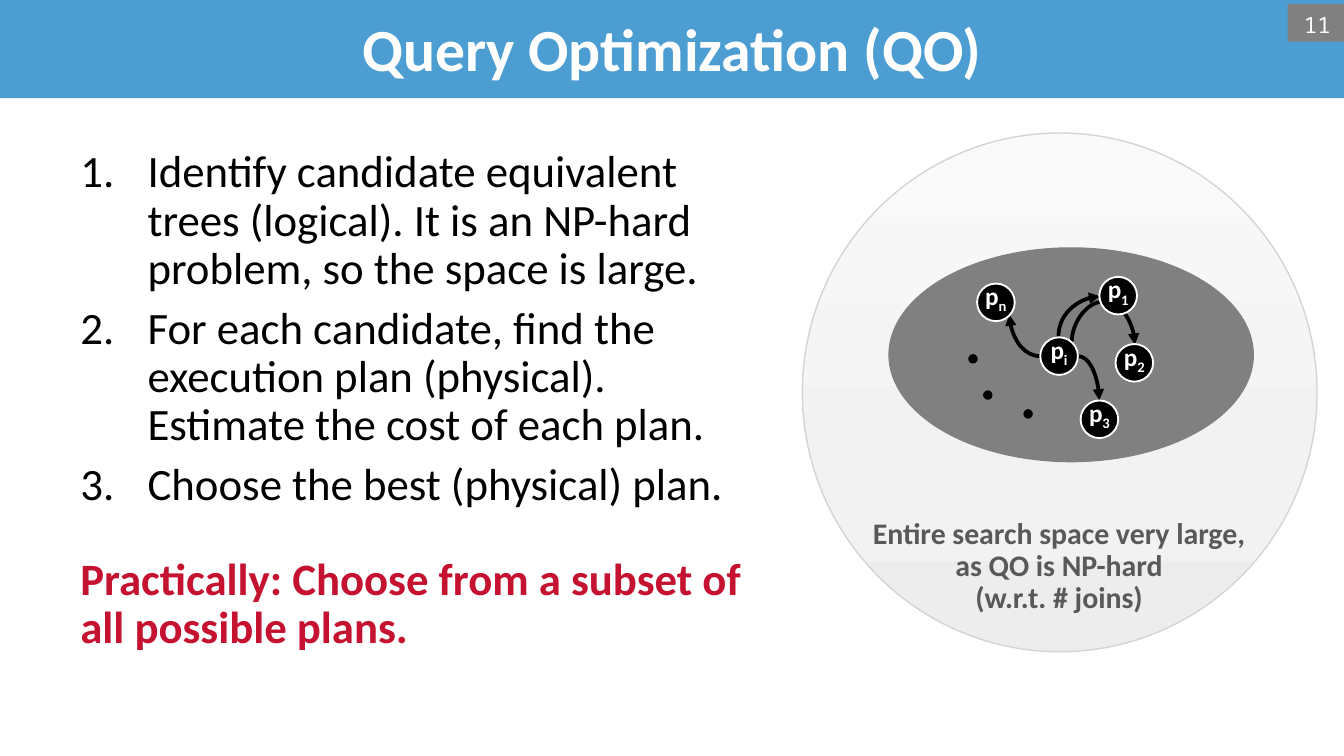
from copy import deepcopy

from lxml.etree import SubElement
from pptx import Presentation
from pptx.dml.color import RGBColor
from pptx.enum.shapes import MSO_CONNECTOR, MSO_SHAPE
from pptx.enum.text import MSO_ANCHOR, MSO_AUTO_SIZE, PP_ALIGN
from pptx.oxml.ns import qn
from pptx.util import Inches, Pt

BLUE = RGBColor(0x4C, 0x9D, 0xD2)
RED = RGBColor(0xC4, 0x12, 0x30)
BLACK = RGBColor(0, 0, 0)
WHITE = RGBColor(0xFF, 0xFF, 0xFF)
GRAY = RGBColor(0x80, 0x80, 0x80)
DARK_GRAY = RGBColor(0x59, 0x59, 0x59)
OUTLINE = RGBColor(0xD4, 0xD4, 0xD4)
SPACE_STOPS = [(0, RGBColor(0xED, 0xED, 0xED)),
               (0.35, RGBColor(0xF2, 0xF2, 0xF2)),
               (1, RGBColor(0xFA, 0xFA, 0xFA))]


def add_filled(kind, box, fill, line=None, width=0.75):
    sp = s.shapes.add_shape(kind, *[Inches(v) for v in box])
    sp.shadow.inherit = False
    if fill is not None:
        sp.fill.solid()
        sp.fill.fore_color.rgb = fill
    if line is None:
        sp.line.fill.background()
    else:
        sp.line.color.rgb = line
        sp.line.width = Pt(width)
    return sp


def format_runs(p, color, **fmt):
    for r in p.runs:
        r.font.color.rgb = color
        for key, value in {"name": "Calibri", **fmt}.items():
            setattr(r.font, key, value)


prs = Presentation()
prs.slide_width = Inches(10)
prs.slide_height = prs.slide_width * 9 // 16
s = prs.slides.add_slide(prs.slide_layouts[5])

# Title bar
title = s.shapes.title
title.left, title.top, title.width, title.height = [
    Inches(v) for v in (0, -0.02, 10, 0.75)]
title.fill.solid()
title.fill.fore_color.rgb = BLUE
tf = title.text_frame
tf.text = "Query Optimization (QO)"
tf.auto_size = MSO_AUTO_SIZE.NONE
tf.vertical_anchor = MSO_ANCHOR.MIDDLE
p = tf.paragraphs[0]
p.alignment = PP_ALIGN.CENTER
format_runs(p, WHITE, size=Pt(32), bold=True)

# Numbered steps and conclusion
steps = [
    "Identify candidate equivalent trees (logical). It is an NP-hard problem, so the space is large.",
    "For each candidate, find the execution plan (physical). Estimate the cost of each plan.",
    "Choose the best (physical) plan.",
]
conclusion = "Practically: Choose from a subset of all possible plans."
tf = s.shapes.add_textbox(Inches(0.5), Inches(1.06), Inches(5.2), Inches(4)).text_frame
tf.word_wrap = True
for i, text in enumerate(steps + [conclusion]):
    p = tf.paragraphs[0] if i == 0 else tf.add_paragraph()
    p.text = text
    p.line_spacing = 0.9
    p.space_before = Pt(0 if i == 0 else 6)
    if text == conclusion:
        p.space_before = Pt(25)
        format_runs(p, RED, size=Pt(24), bold=True)
    else:
        pPr = p._p.get_or_add_pPr()
        pPr.set("marL", str(Inches(0.5)))
        pPr.set("indent", str(Inches(-0.5)))
        SubElement(pPr, qn("a:buFont"), typeface="+mj-lt")
        SubElement(pPr, qn("a:buAutoNum"), type="arabicPeriod")
        format_runs(p, BLACK, size=Pt(24))

# Slide number
number = add_filled(MSO_SHAPE.RECTANGLE, (9.58, 0.03, 0.42, 0.28), GRAY)
tf = number.text_frame
tf.text = "11"
tf.vertical_anchor = MSO_ANCHOR.TOP
p = tf.paragraphs[0]
p.alignment = PP_ALIGN.RIGHT
format_runs(p, WHITE, name="Noto Sans Mono", size=Pt(12))

# Entire search space, its label and the searched subset
space = add_filled(MSO_SHAPE.OVAL, (5.97, 0.99, 3.83, 3.86), None, OUTLINE)
space.fill.gradient()
space.fill.gradient_angle = 90
gs_list = space._element.spPr.find(".//" + qn("a:gsLst"))
gs_list.insert(1, deepcopy(gs_list[0]))
for stop, (position, color) in zip(space.fill.gradient_stops, SPACE_STOPS):
    stop.position = position
    stop.color.rgb = color

tf = s.shapes.add_textbox(Inches(6.37), Inches(3.81), Inches(3.02), Inches(0.83)).text_frame
tf.word_wrap = True
tf.auto_size = MSO_AUTO_SIZE.SHAPE_TO_FIT_TEXT
p = tf.paragraphs[0]
p.text = "Entire search space very large, as QO is NP-hard\v(w.r.t. # joins)"
p.alignment = PP_ALIGN.CENTER
p.line_spacing = 0.9
format_runs(p, DARK_GRAY, size=Pt(16), bold=True)

add_filled(MSO_SHAPE.OVAL, (6.61, 1.84, 2.72, 1.6), GRAY)

# Curved arrows between plans: unrotated box, rotation, flips, preset, adjustment
arrows = [
    ((7.88, 2.2, 0.3, 0.31), 90, "HV", "curvedConnector2", None),
    ((8.2, 2.32, 0.02, 0.47), 270, "H", "curvedConnector3", -1500000),
    ((7.51, 2.34, 0.23, 0.31), 180, "", "curvedConnector2", None),
    ((8.02, 2.65, 0.16, 0.33), 0, "", "curvedConnector2", None),
]
for (x, y, w, h), angle, flips, preset, adjust in arrows:
    arrow = s.shapes.add_connector(
        MSO_CONNECTOR.CURVE, Inches(x), Inches(y), Inches(x + w), Inches(y + h))
    arrow.line.color.rgb = BLACK
    arrow.line.width = Pt(2)
    spPr = arrow._element.spPr
    xfrm = spPr.find(qn("a:xfrm"))
    xfrm.set("rot", str(angle * 60000))
    for flip in flips:
        xfrm.set("flip" + flip, "1")
    geom = spPr.find(qn("a:prstGeom"))
    geom.set("prst", preset)
    if adjust is not None:
        SubElement(geom.find(qn("a:avLst")), qn("a:gd"), name="adj1", fmla=f"val {adjust}")
    SubElement(spPr.find(qn("a:ln")), qn("a:tailEnd"), type="triangle")
    SubElement(spPr, qn("a:effectLst"))

# Plan nodes
plans = {"2": (8.3, 2.56), "1": (8.18, 2.06), "i": (7.74, 2.51),
         "n": (7.27, 2.11), "3": (8.04, 2.98)}
for index, (x, y) in plans.items():
    node = add_filled(MSO_SHAPE.OVAL, (x, y, 0.28, 0.28), BLACK, WHITE, 1)
    tf = node.text_frame
    for side in ("left", "top", "right"):
        setattr(tf, "margin_" + side, 0)
    tf.margin_bottom = Inches(0.07)
    tf.vertical_anchor = MSO_ANCHOR.MIDDLE
    p = tf.paragraphs[0]
    p.alignment = PP_ALIGN.CENTER
    for text in ("p", index):
        r = p.add_run()
        r.text = text
    format_runs(p, WHITE, size=Pt(13.5), bold=True)
    r.font._element.set("baseline", "-25000")

# Dots standing for the remaining plans
for x, y in [(7.62, 3.05), (7.21, 2.64), (7.32, 2.91)]:
    add_filled(MSO_SHAPE.OVAL, (x, y, 0.06, 0.06), BLACK, BLACK)

prs.save("out.pptx")
